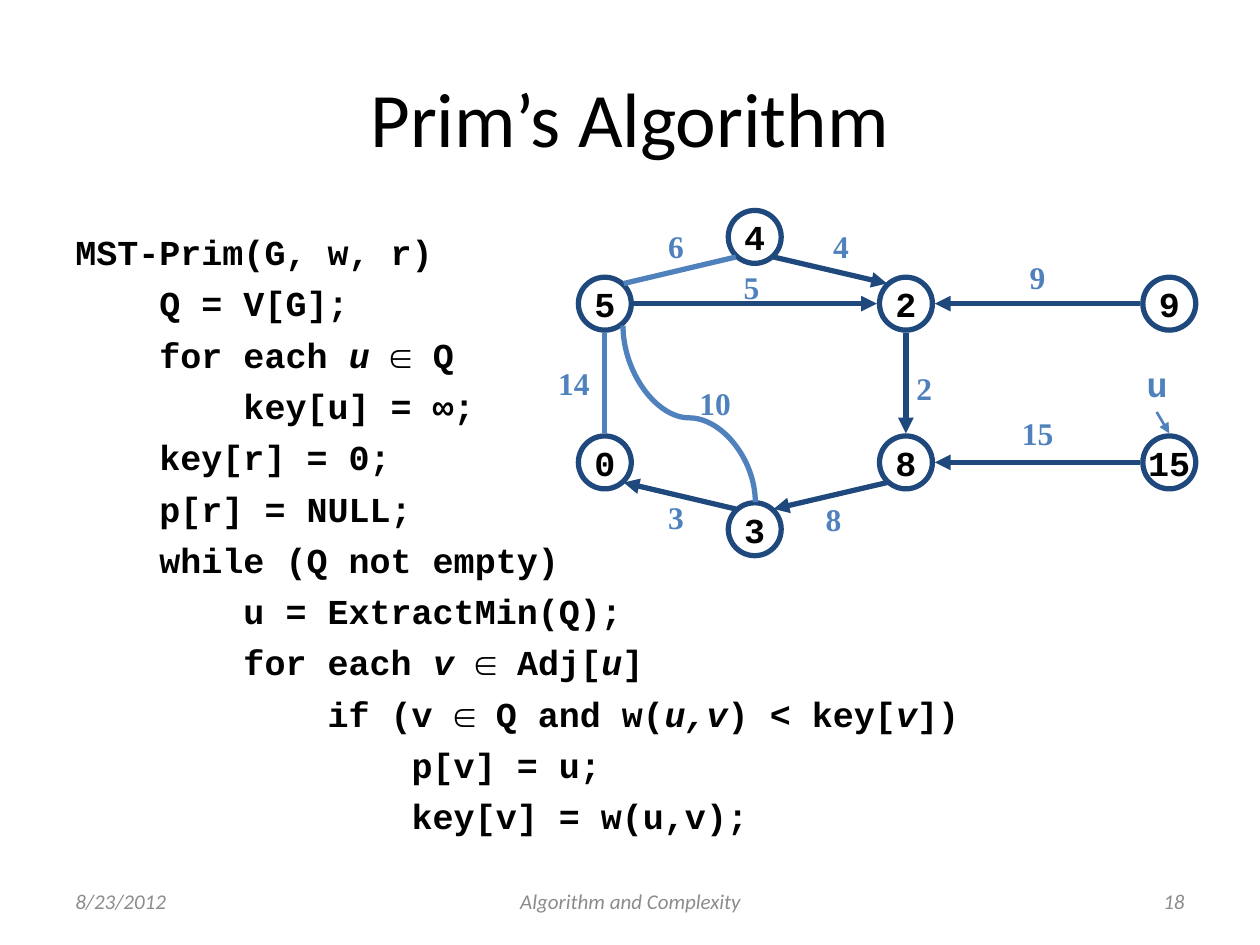
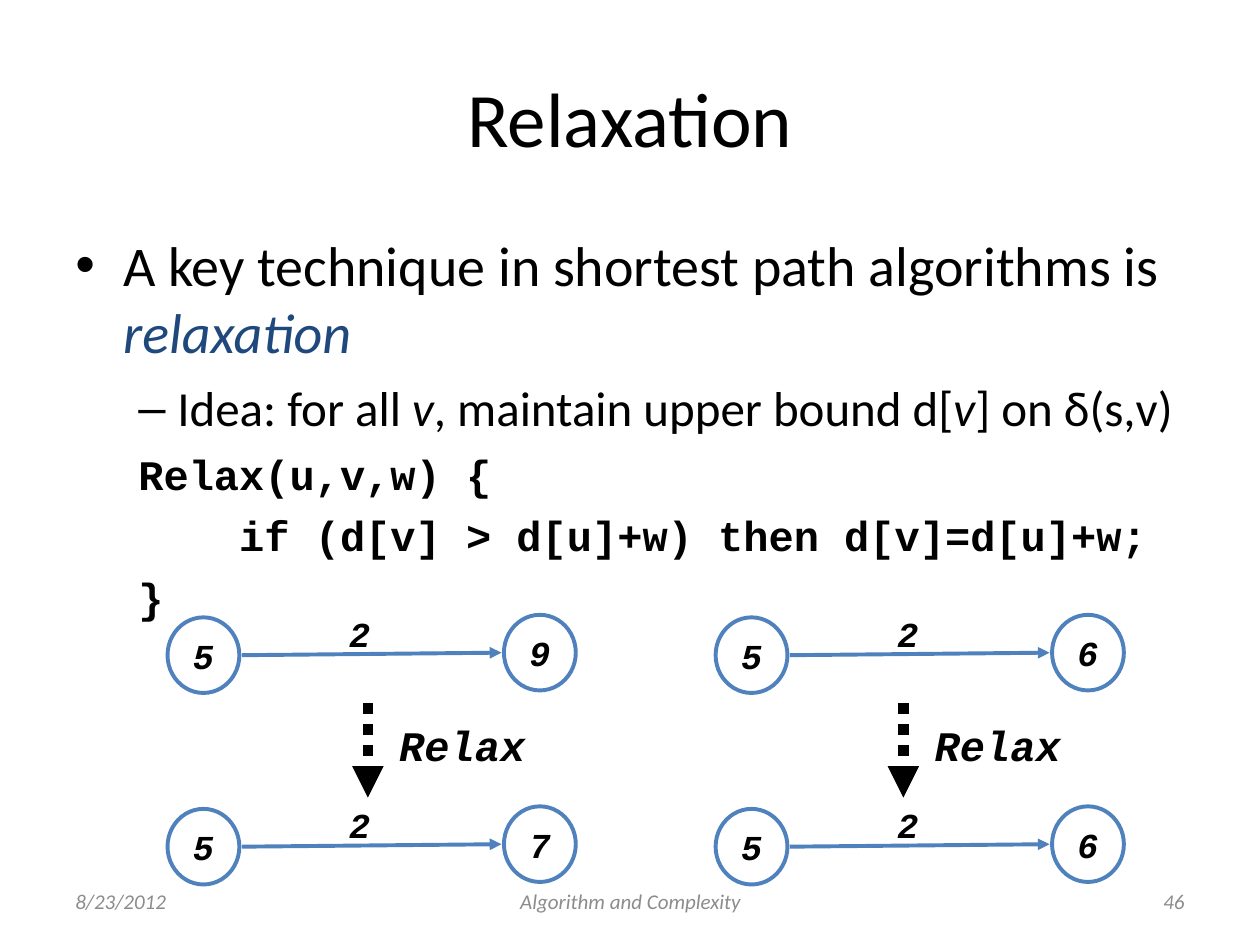
from lxml.etree import SubElement
from pptx import Presentation
from pptx.dml.color import RGBColor
from pptx.enum.dml import MSO_LINE
from pptx.enum.shapes import MSO_CONNECTOR, MSO_SHAPE
from pptx.enum.text import MSO_ANCHOR, PP_ALIGN
from pptx.oxml.ns import qn
from pptx.util import Inches, Pt

BLACK = RGBColor(0x00, 0x00, 0x00)
WHITE = RGBColor(0xFF, 0xFF, 0xFF)
GRAY = RGBColor(0x8C, 0x8C, 0x8C)
NAVY = RGBColor(0x1F, 0x49, 0x7D)
BLUE = RGBColor(0x4F, 0x81, 0xBD)
SANS, MONO, SERIF = "Calibri", "Courier New", "Times New Roman"
LEFT, MID, RIGHT = PP_ALIGN.LEFT, PP_ALIGN.CENTER, PP_ALIGN.RIGHT

NODES = {
    "5": (4.8, 2.41), "2": (7.19, 2.41), "9": (9.28, 2.41),
    "0": (4.8, 3.67), "8": (7.19, 3.67), "15": (9.28, 3.67),
    "3": (5.99, 4.2), "4": (5.99, 1.88),
}
SITES = {
    "n": (0, -0.23), "s": (0, 0.23), "e": (0.23, 0), "w": (-0.23, 0),
    "ne": (0.15, -0.16), "nw": (-0.15, -0.16),
    "se": (0.15, 0.16), "sw": (-0.15, 0.16),
}
EDGES = [
    ("4", "se", "2", "nw", True), ("4", "sw", "5", "ne", False),
    ("5", "e", "2", "w", True), ("0", "n", "5", "s", False),
    ("3", "nw", "0", "se", True), ("8", "sw", "3", "ne", True),
    ("2", "s", "8", "n", True), ("9", "w", "2", "e", True),
    ("15", "w", "8", "e", True),
]
COSTS = [
    ("14", 4.33, 2.84), ("10", 5.45, 3), ("3", 5.2, 3.9), ("6", 5.2, 1.75),
    ("4", 6.51, 1.75), ("5", 5.8, 2.08), ("2", 7.17, 2.88), ("9", 8.07, 2),
    ("15", 8.01, 3.24), ("8", 6.45, 3.92),
]
PRIM = [
    "MST-Prim(G, w, r)",
    "    Q = V[G];",
    "    for each *u *∈ Q",
    "        key[u] = ∞;",
    "    key[r] = 0;",
    "    p[r] = NULL;",
    "    while (Q not empty)",
    "        u = ExtractMin(Q);",
    "        for each *v *∈ Adj[*u*]",
    "            if (v ∈ Q and w(*u,v*) < key[*v*])",
    "                p[v] = u;",
    "                key[v] = w(u,v);",
]
RELAX = [
    "Relax(u,v,w) {",
    "    if (d[v] > d[u]+w) then d[v]=d[u]+w;",
    "}",
]


def write(para, text, size, face, color=BLACK, bold=False, slant=False, tint=None):
    """Add runs to a paragraph; parts between asterisks are italic."""
    for spot, part in enumerate(text.split("*")):
        if part:
            run = para.add_run()
            run.text = part
            font = run.font
            font.size, font.name, font.bold = Pt(size), face, bold
            font.italic = slant or spot % 2 == 1
            font.color.rgb = tint if tint and spot % 2 else color


def label(shapes, text, box, size, face, align=MID, wrap=False, mid=False, **style):
    """Add a text box with one line."""
    frame = shapes.add_textbox(*map(Inches, box)).text_frame
    frame.word_wrap = wrap
    frame.vertical_anchor = MSO_ANCHOR.MIDDLE if mid else MSO_ANCHOR.TOP
    frame.paragraphs[0].alignment = align
    write(frame.paragraphs[0], text, size, face, **style)


def item(frame, first, text, size, face, left, hang, mark=None, **style):
    """Add a body paragraph with a hanging indent."""
    para = frame.paragraphs[0] if first else frame.add_paragraph()
    props = para._p.get_or_add_pPr()
    props.set("marL", str(Inches(left)))
    props.set("indent", str(Inches(-hang)))
    if mark:
        SubElement(props, qn("a:buFont")).set("typeface", "Arial")
        SubElement(props, qn("a:buChar")).set("char", mark)
    else:
        SubElement(props, qn("a:buNone"))
    if not first:
        para.space_before = Pt(round(size * 0.265, 1))
    write(para, text, size, face, **style)


def body(slide):
    """Add the body box and return its frame."""
    box = slide.shapes.add_textbox(Inches(0.5), Inches(1.75), Inches(9), Inches(4.95))
    box.text_frame.word_wrap = True
    box.text_frame.margin_top = Inches(0.08)
    return box.text_frame


def node(shapes, text, box, color, width, fill=None, slant=False):
    """Add a round graph node with its value."""
    oval = shapes.add_shape(MSO_SHAPE.OVAL, *map(Inches, box))
    oval.shadow.inherit = False
    if fill:
        oval.fill.solid()
        oval.fill.fore_color.rgb = fill
    else:
        oval.fill.background()
    oval.line.color.rgb = color
    oval.line.width = Pt(width)
    frame = oval.text_frame
    frame.word_wrap = False
    frame.vertical_anchor = MSO_ANCHOR.MIDDLE
    frame.paragraphs[0].alignment = MID
    write(frame.paragraphs[0], text, 20, MONO, bold=True, slant=slant)


def link(shapes, start, end, color, width, arrow=True, dash=None,
         kind=MSO_CONNECTOR.STRAIGHT):
    """Add a connector, with an arrowhead at its end if asked."""
    line = shapes.add_connector(kind, *map(Inches, (*start, *end)))
    line.line.color.rgb = color
    line.line.width = Pt(width)
    if dash:
        line.line.dash_style = dash
    if arrow:
        SubElement(line.line._get_or_add_ln(), qn("a:tailEnd")).set("type", "triangle")
    SubElement(line.element.spPr, qn("a:effectLst"))
    return line


def curve(shapes):
    """Add the curved edge from node 3 up to node 5."""
    line = link(shapes, (6.17, 2.76), (4.77, 3.81), BLUE, 3, False,
                kind=MSO_CONNECTOR.CURVE)
    props = line.element.spPr
    props.find(qn("a:xfrm")).set("rot", "5400000")
    guide = SubElement(props.find(qn("a:prstGeom")).find(qn("a:avLst")), qn("a:gd"))
    guide.set("name", "adj1")
    guide.set("fmla", "val 47800")


def site(name, side):
    """Return the point where an edge meets a node."""
    return [base + step for base, step in zip(NODES[name], SITES[side])]


def pair(shapes, left, top, value):
    """Add two nodes joined by an edge of weight 2."""
    for text, x, y in ((value, left + 2.67, top), ("5", left, top + 0.02)):
        node(shapes, text, (x, y, 0.57, 0.6), BLUE, 2.25, WHITE, True)
    link(shapes, (left + 0.59, top + 0.32), (left + 2.65, top + 0.3), BLUE, 2.25)
    label(shapes, "2", (left + 1.34, top - 0.07, 0.37, 0.43), 20, MONO,
          bold=True, slant=True)


def relax(slide, left, mid, old, new):
    """Add a group showing one edge before and after relaxation."""
    shapes = slide.shapes.add_group_shape().shapes
    pair(shapes, left, 4.88, old)
    pair(shapes, left, 6.4, new)
    link(shapes, (mid, 5.58), (mid, 6.33), BLACK, 6, dash=MSO_LINE.ROUND_DOT)
    label(shapes, "Relax", (mid + 0.15, 5.66, 1.2, 0.5), 24, MONO, LEFT,
          bold=True, slant=True)


def page(deck, title, number):
    """Add a slide with its title and footers."""
    slide = deck.slides.add_slide(deck.slide_layouts[6])
    label(slide.shapes, title, (0.5, 0.3, 9, 1.25), 44, SANS, wrap=True, mid=True)
    for text, left, width, align, slant in (
        ("8/23/2012", 0.5, 2.33, LEFT, True),
        ("Algorithm and Complexity", 3.42, 3.17, MID, True),
        (number, 7.17, 2.33, RIGHT, True),
    ):
        label(slide.shapes, text, (left, 6.95, width, 0.4), 12, SANS, align,
              True, True, color=GRAY, slant=slant)
    return slide


def prim(deck):
    """Build the slide on Prim's algorithm."""
    slide = page(deck, "Prim’s Algorithm", "18")
    shapes, frame = slide.shapes, body(slide)
    for spot, text in enumerate(PRIM):
        item(frame, spot == 0, text, 20, MONO, 0.38, 0.38, bold=True)
    for text, (x, y) in NODES.items():
        node(shapes, text, (x - 0.21, y - 0.21, 0.42, 0.42), NAVY, 3)
    for start, out, end, into, arrow in EDGES:
        link(shapes, site(start, out), site(end, into),
             NAVY if arrow else BLUE, 3, arrow)
    curve(shapes)
    for text, x, y in COSTS:
        width = 0.21 + 0.12 * len(text)
        label(shapes, text, (x, y, width, 0.4), 18, SERIF, color=BLUE, bold=True)
    label(shapes, "u", (9, 2.83, 0.37, 0.43), 20, MONO, color=BLUE, bold=True)
    link(shapes, (9.18, 3.27), (9.28, 3.44), BLUE, 1.5)


def ease(deck):
    """Build the slide on relaxation."""
    slide = page(deck, "Relaxation", "46")
    frame = body(slide)
    item(frame, True, "A key technique in shortest path algorithms is *relaxation*",
         32, SANS, 0.38, 0.38, "•", tint=NAVY)
    item(frame, False, "Idea: for all *v*, maintain upper bound d[*v*] on δ(s,v)",
         28, SANS, 0.81, 0.31, "–")
    for text in RELAX:
        item(frame, False, text, 24, MONO, 0.81, 0.31, bold=True)
    relax(slide, 1.33, 2.92, "9", "7")
    relax(slide, 5.68, 7.17, "6", "6")


def main():
    """Build and save the deck."""
    deck = Presentation()
    deck.slide_width, deck.slide_height = Inches(10), Inches(7.5)
    prim(deck)
    ease(deck)
    deck.save("out.pptx")


if __name__ == "__main__":
    main()
